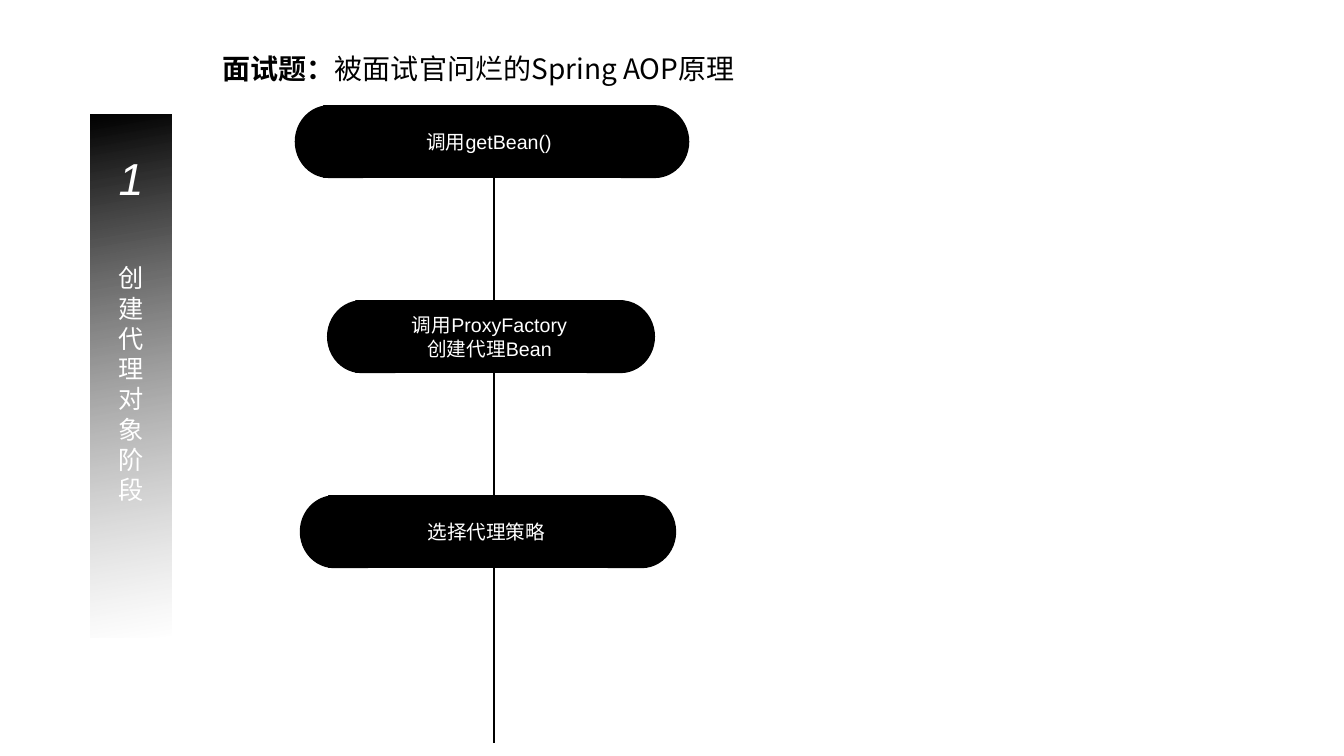
"""Build a slide showing the proxy creation phase of Spring AOP as a vertical flow."""
from dataclasses import dataclass

from lxml.etree import SubElement
from pptx import Presentation
from pptx.dml.color import RGBColor
from pptx.enum.shapes import MSO_CONNECTOR, MSO_SHAPE
from pptx.enum.text import MSO_ANCHOR, MSO_AUTO_SIZE, PP_ALIGN
from pptx.oxml.ns import qn
from pptx.util import Inches, Pt


@dataclass(frozen=True)
class Theme:
    black: RGBColor = RGBColor(0, 0, 0)
    gray: RGBColor = RGBColor(0x80, 0x80, 0x80)
    white: RGBColor = RGBColor(0xFF, 0xFF, 0xFF)
    title_font: str = "Noto Sans CJK SC"
    body_font: str = "Arial"
    title_size: Pt = Pt(20)
    number_size: Pt = Pt(32)
    phase_size: Pt = Pt(18)
    step_size: Pt = Pt(14)


theme = Theme()


def style_span(span, size, color, name):
    span.font.size = size
    span.font.color.rgb = color
    span.font.name = name
    SubElement(span.font._element, qn("a:ea")).set("typeface", theme.title_font)


def add_black_shape(shapes, kind, left, top, width, height):
    shape = shapes.add_shape(kind, Inches(left), Inches(top), Inches(width), Inches(height))
    shape.shadow.inherit = False
    shape.fill.solid()
    shape.fill.fore_color.rgb = theme.black
    shape.line.color.rgb = theme.black
    shape.line.width = Pt(1)
    return shape


deck = Presentation()
deck.slide_width, deck.slide_height = Inches(13.33), Inches(7.5)
page = deck.slides.add_slide(deck.slide_layouts[6])

title = page.shapes.add_textbox(Inches(2.11), Inches(0.46), Inches(10.89), Inches(0.44))
title.text_frame.word_wrap = True
title.text_frame.auto_size = MSO_AUTO_SIZE.SHAPE_TO_FIT_TEXT
for text, bold in (("面试题：", True), ("被面试官问烂的Spring AOP原理", False)):
    span = title.text_frame.paragraphs[0].add_run()
    span.text = text
    span.font.bold = bold
    style_span(span, theme.title_size, theme.black, theme.title_font)

phase_bar = add_black_shape(page.shapes, MSO_SHAPE.RECTANGLE, 0.9, 1.14, 0.8, 5.18)
phase_bar.line.fill.background()
phase_bar.fill.gradient()
phase_bar.fill.gradient_angle = 100
fade, solid = phase_bar.fill.gradient_stops
fade.position, solid.position = 0, 1
fade.color.rgb, solid.color.rgb = theme.gray, theme.black
fade_color = phase_bar._element.spPr.find(".//" + qn("a:srgbClr"))
SubElement(fade_color, qn("a:alpha")).set("val", "0")

phase_frame = phase_bar.text_frame
phase_frame.text = "\n".join("1创建代理对象阶段")
phase_frame.vertical_anchor = MSO_ANCHOR.TOP
phase_frame.margin_top = Inches(0.35)
for para in phase_frame.paragraphs:
    para.alignment = PP_ALIGN.CENTER
    style_span(para.runs[0], theme.phase_size, theme.white, theme.body_font)
number = phase_frame.paragraphs[0]
number.space_after = Pt(42)
number.runs[0].font.size = theme.number_size
number.runs[0].font.italic = True

flow_line = page.shapes.add_connector(
    MSO_CONNECTOR.STRAIGHT, Inches(4.9), Inches(1.73), Inches(4.9), Inches(7.37))
flow_line.line.color.rgb = theme.black
flow_line.line.width = Pt(2)
SubElement(flow_line._element.spPr, qn("a:effectLst"))

first_top, last_top = 1.05, 4.92
cap_width, step_height, cap_overhang = 0.67, 0.71, 0.28
steps = (
    ("调用getBean()", 2.93, 3.9, 3.28),
    ("调用ProxyFactory\n创建代理Bean", 3.25, 3.24, 2.65),
    ("选择代理策略", 2.98, 3.72, 3.13),
)
for index, (text, left, width, body_width) in enumerate(steps):
    top = first_top + index * (last_top - first_top) / (len(steps) - 1)
    step = page.shapes.add_group_shape()
    for cap_left, rotation in ((left, 180), (left + width - cap_width, 0)):
        cap = add_black_shape(step.shapes, MSO_SHAPE.FLOWCHART_DELAY,
                              cap_left, top, cap_width, step_height)
        cap.rotation = rotation
    body = add_black_shape(step.shapes, MSO_SHAPE.RECTANGLE,
                           left + cap_overhang, top, body_width, step_height)
    body.text_frame.text = text
    body.text_frame.vertical_anchor = MSO_ANCHOR.MIDDLE
    for para in body.text_frame.paragraphs:
        para.alignment = PP_ALIGN.CENTER
        style_span(para.runs[0], theme.step_size, theme.white, theme.body_font)

deck.save("out.pptx")
